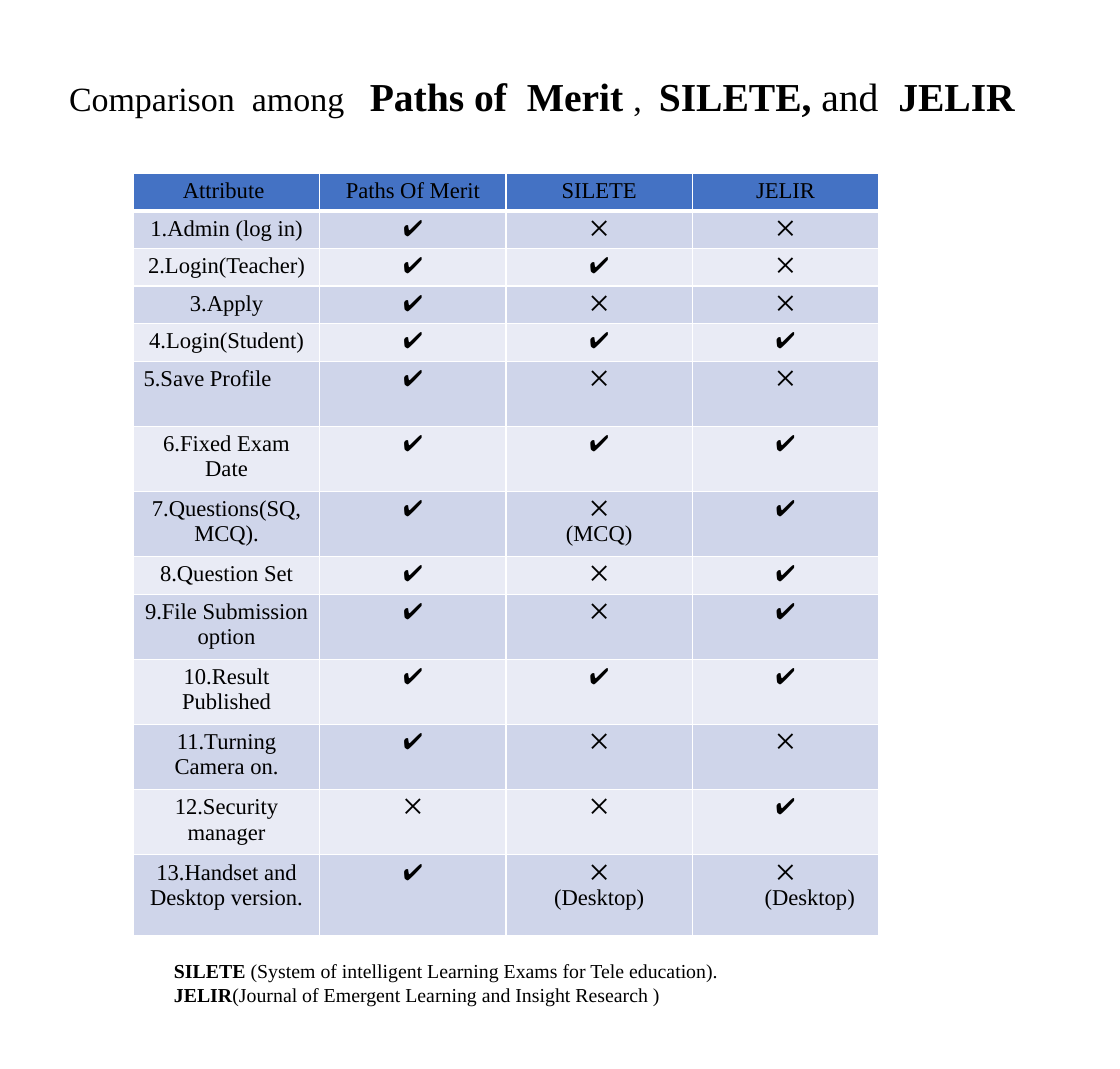
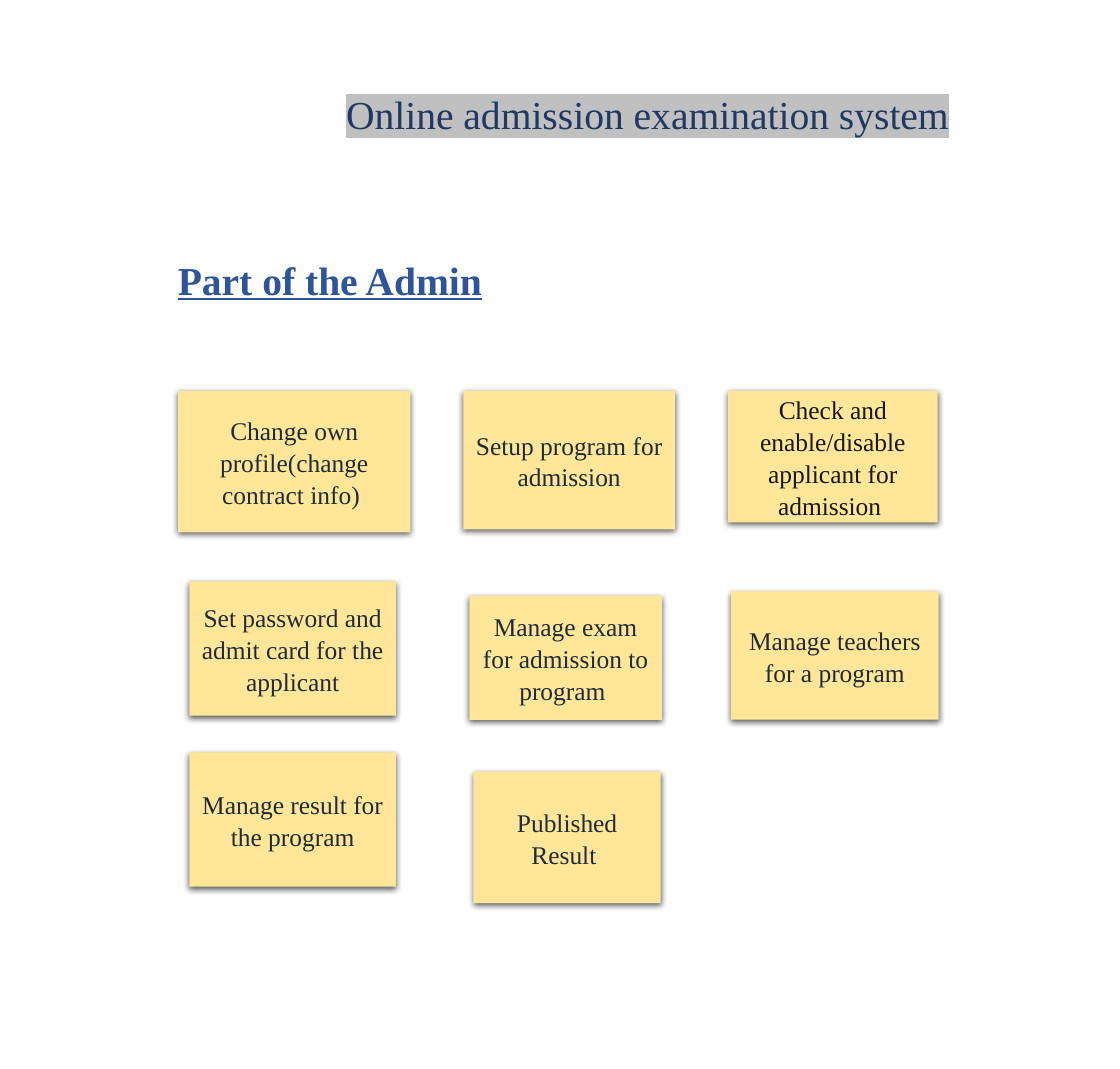
import pptx
import pptx.util
import pptx.dml.color
import pptx.enum.shapes
import pptx.enum.text
import pptx.oxml
from pptx.oxml.ns import qn
from lxml import etree

RGBColor = pptx.dml.color.RGBColor
Pt = pptx.util.Pt
ALIGN = pptx.enum.text.PP_ALIGN
ANCHOR = pptx.enum.text.MSO_ANCHOR

FONT = "Times New Roman"
BLACK = RGBColor(0x00, 0x00, 0x00)
WHITE = RGBColor(0xFF, 0xFF, 0xFF)
HEADER_BLUE = RGBColor(0x44, 0x72, 0xC4)
ROW_DARK = RGBColor(0xCF, 0xD5, 0xEA)
ROW_LIGHT = RGBColor(0xE9, 0xEB, 0xF5)
TITLE_NAVY = RGBColor(0x20, 0x38, 0x64)
HEADING_BLUE = RGBColor(0x2F, 0x55, 0x97)
HIGHLIGHT = RGBColor(0xC0, 0xC0, 0xC0)
CARD_YELLOW = RGBColor(0xFF, 0xE6, 0x99)
CARD_INK = RGBColor(0x22, 0x2A, 0x35)
CARD_DARK_INK = RGBColor(0x18, 0x17, 0x17)

EMU_PER_PX = 9144
SLIDE_SIZE = (1100, 1050)

BIG = {"size": 28}
BOLD = {"size": 28, "bold": True}
NOTE = {"size": 14}
NOTE_BOLD = {"size": 14, "bold": True}

COMPARISON_TITLE = [
    ("Comparison", {"size": 24}), (" ", {"size": 24, "spacing": 6}),
    ("among", {"size": 24}), (" ", {"size": 24, "spacing": 12}),
    ("Paths of", BOLD), (" ", {"size": 28, "spacing": 7}),
    ("Merit ", BOLD), (",", {"size": 24}), (" ", {"size": 24, "spacing": 6}),
    ("SILETE, ", BOLD), ("and", BIG), (" ", {"size": 28, "spacing": 7}),
    ("JELIR", BOLD),
]
FOOTNOTES = [
    [("SILETE", NOTE_BOLD),
     (" (System of intelligent Learning Exams for Tele education).", NOTE)],
    [("JELIR", NOTE_BOLD),
     ("(Journal of Emergent Learning and Insight Research )", NOTE)],
]

YES, NO = "✔", "✕"
SINGLE, DOUBLE, LAST = 37, 64, 79
COLUMN_WIDTH = 183
DESKTOP_INDENT = 61
ROWS = [
    (SINGLE, "Attribute ", "Paths Of Merit", "SILETE", "JELIR"),
    (SINGLE, "1.Admin (log in)", YES, NO, NO),
    (SINGLE, "2.Login(Teacher)", YES, YES, NO),
    (SINGLE, "3.Apply", YES, NO, NO),
    (SINGLE, "4.Login(Student)", YES, YES, YES),
    (DOUBLE, "5.Save Profile", YES, NO, NO),
    (DOUBLE, "6.Fixed Exam Date", YES, YES, YES),
    (DOUBLE, "7.Questions(SQ,MCQ).", YES, NO + "\n(MCQ)", YES),
    (SINGLE, "8.Question Set", YES, NO, YES),
    (DOUBLE, "9.File Submission option", YES, NO, YES),
    (DOUBLE, "10.Result Published", YES, YES, YES),
    (DOUBLE, "11.Turning Camera on.", YES, NO, NO),
    (DOUBLE, "12.Security manager", NO, NO, YES),
    (LAST, "13.Handset and Desktop version.", YES, NO + "\n(Desktop)", NO + "\n(Desktop)"),
]
LEFT_ALIGNED_ROW = 5
INDENTED_CELL = (13, 3)

CARDS = [
    ((175, 384, 228, 139), "Change own profile(change contract info) ", CARD_INK),
    ((455, 384, 208, 136), "Setup program for admission", CARD_INK),
    ((715, 384, 206, 129), "Check and enable/disable applicant for admission ", CARD_DARK_INK),
    ((186, 571, 203, 132), "Set password and admit card for the applicant", CARD_INK),
    ((461, 585, 189, 122), "Manage exam for admission to program ", CARD_INK),
    ((718, 581, 204, 126), "Manage teachers for a program", CARD_INK),
    ((186, 739, 203, 132), "Manage result for the program", CARD_INK),
    ((465, 758, 184, 129), "Published Result ", CARD_INK),
]


def px(value):
    return pptx.util.Emu(value * EMU_PER_PX)


def place(box):
    return [px(value) for value in box]


def add_run(paragraph, text, size, color=BLACK, bold=False, underline=False,
            spacing=0, highlight=None):
    run = paragraph.add_run()
    run.text = text
    font = run.font
    font.name, font.size, font.bold = FONT, Pt(size), bold
    font.color.rgb = color
    if underline:
        font.underline = True
    properties = run._r.get_or_add_rPr()
    if spacing:
        properties.set("spc", str(spacing * 100))
    if highlight is not None:
        mark = etree.Element(qn("a:highlight"))
        etree.SubElement(mark, qn("a:srgbClr"), val=str(highlight))
        properties.find(qn("a:latin")).addprevious(mark)


def add_text(slide, box, paragraphs, align=ALIGN.LEFT):
    frame = slide.shapes.add_textbox(*place(box)).text_frame
    frame.word_wrap = True
    frame.auto_size = pptx.enum.text.MSO_AUTO_SIZE.SHAPE_TO_FIT_TEXT
    for index, runs in enumerate(paragraphs):
        paragraph = frame.add_paragraph() if index else frame.paragraphs[0]
        paragraph.alignment = align
        for text, style in runs:
            add_run(paragraph, text, **style)


def set_borders(cell, bottom, top):
    properties = cell._tc.get_or_add_tcPr()
    widths = (("lnL", 1), ("lnR", 1), ("lnT", top), ("lnB", bottom))
    for index, (side, width) in enumerate(widths):
        line = etree.Element(qn("a:" + side), w=str(Pt(width)))
        fill = etree.SubElement(line, qn("a:solidFill"))
        etree.SubElement(fill, qn("a:srgbClr"), val=str(WHITE))
        properties.insert(index, line)


def fill_cell(cell, text, row, column):
    cell.fill.solid()
    cell.fill.fore_color.rgb = (
        HEADER_BLUE if row == 0 else ROW_DARK if row % 2 else ROW_LIGHT)
    set_borders(cell, bottom=3 if row == 0 else 1, top=3 if row == 1 else 1)
    for index, line in enumerate(text.split("\n")):
        frame = cell.text_frame
        paragraph = frame.add_paragraph() if index else frame.paragraphs[0]
        indented = index == 1 and (row, column) == INDENTED_CELL
        left = indented or (row, column) == (LEFT_ALIGNED_ROW, 0)
        paragraph.alignment = ALIGN.LEFT if left else ALIGN.CENTER
        if indented:
            paragraph._p.get_or_add_pPr().set("marL", str(px(DESKTOP_INDENT)))
        add_run(paragraph, line, 16)


def add_comparison_table(slide, left, top):
    columns = len(ROWS[0]) - 1
    height = sum(row[0] for row in ROWS)
    box = (left, top, columns * COLUMN_WIDTH, height)
    table = slide.shapes.add_table(len(ROWS), columns, *place(box)).table
    for row, (row_height, *texts) in enumerate(ROWS):
        table.rows[row].height = px(row_height)
        for column, text in enumerate(texts):
            fill_cell(table.cell(row, column), text, row, column)


def add_card(slide, box, text, ink):
    card = slide.shapes.add_shape(
        pptx.enum.shapes.MSO_SHAPE.RECTANGLE, *place(box))
    card.fill.solid()
    card.fill.fore_color.rgb = CARD_YELLOW
    card.line.fill.background()
    card.shadow.inherit = False
    effects = card._element.spPr.find(qn("a:effectLst"))
    shadow = etree.SubElement(
        effects, qn("a:outerShdw"), blurRad=str(Pt(4.5)), dist=str(Pt(1.5)),
        dir="5400000", algn="ctr", rotWithShape="0")
    color = etree.SubElement(shadow, qn("a:srgbClr"), val=str(BLACK))
    etree.SubElement(color, qn("a:alpha"), val="63000")
    frame = card.text_frame
    frame.word_wrap = True
    frame.vertical_anchor = ANCHOR.MIDDLE
    paragraph = frame.paragraphs[0]
    paragraph.alignment = ALIGN.CENTER
    paragraph.line_spacing = 1.04
    add_run(paragraph, text, 18, ink)


def build_comparison(slide):
    add_text(slide, (58, 66, 960, 57), [COMPARISON_TITLE])
    add_comparison_table(slide, 131, 170)
    add_text(slide, (161, 937, 930, 57), FOOTNOTES)


def build_admin(slide):
    title = {"size": 28, "color": TITLE_NAVY, "highlight": HIGHLIGHT}
    heading = {"size": 28, "color": HEADING_BLUE, "bold": True, "underline": True}
    add_text(slide, (330, 83, 641, 57),
             [[("Online admission examination system", title)]])
    add_text(slide, (49, 246, 550, 57), [[("Part of the Admin", heading)]],
             ALIGN.CENTER)
    for card in CARDS:
        add_card(slide, *card)


def main():
    presentation = pptx.Presentation()
    presentation.slide_width, presentation.slide_height = place(SLIDE_SIZE)
    for build in (build_comparison, build_admin):
        build(presentation.slides.add_slide(presentation.slide_layouts[6]))
    presentation.save("out.pptx")


if __name__ == "__main__":
    main()
